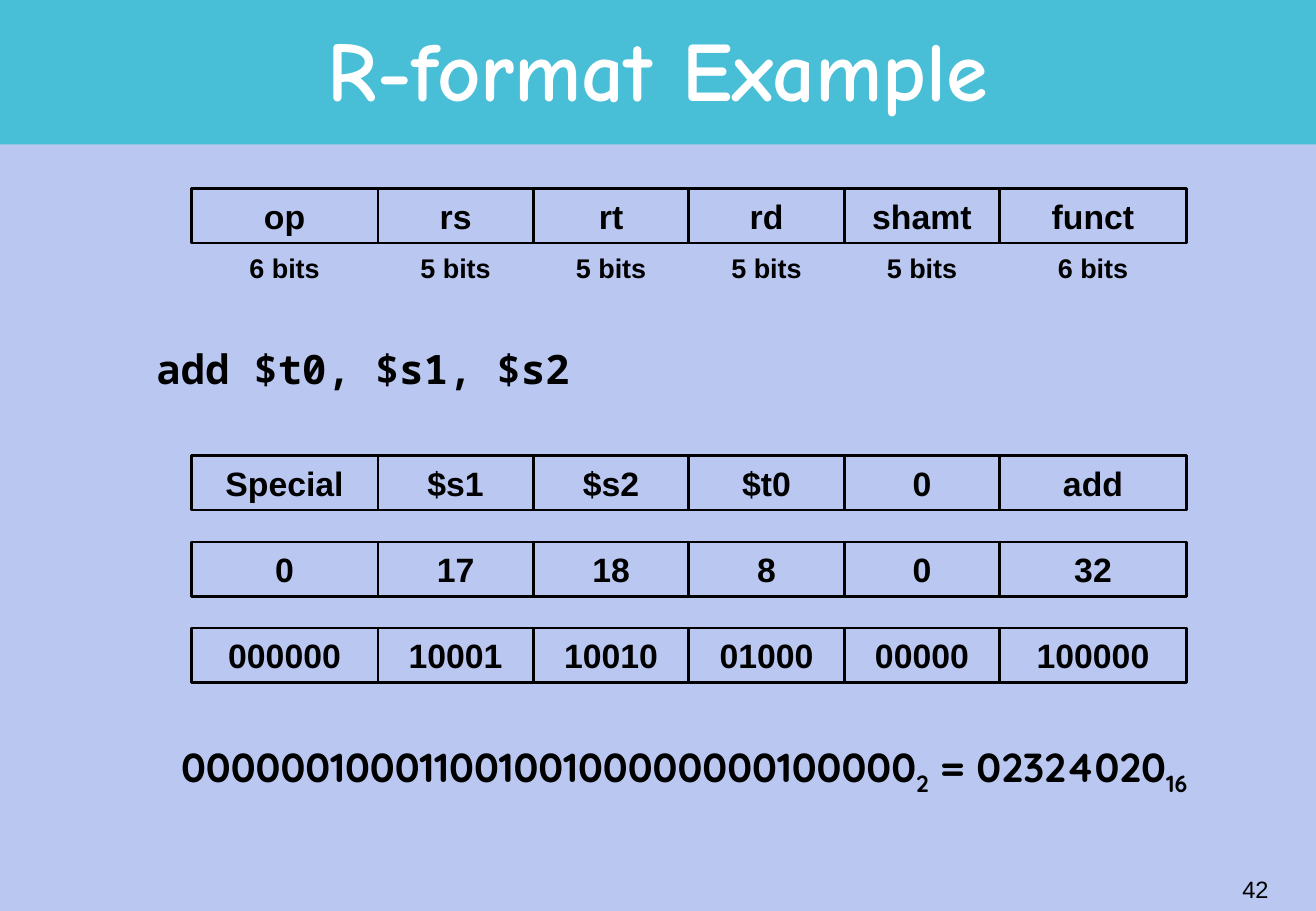
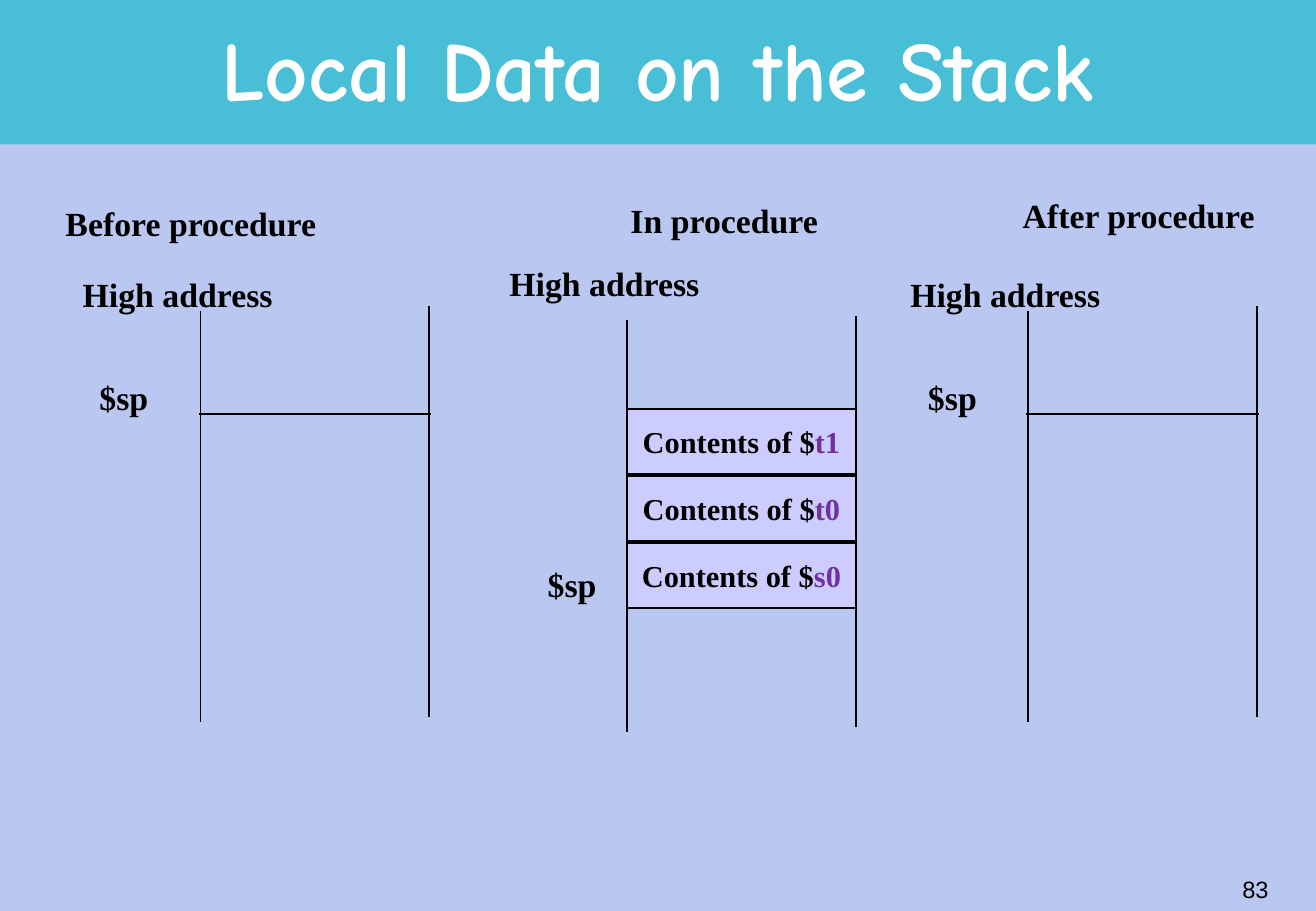
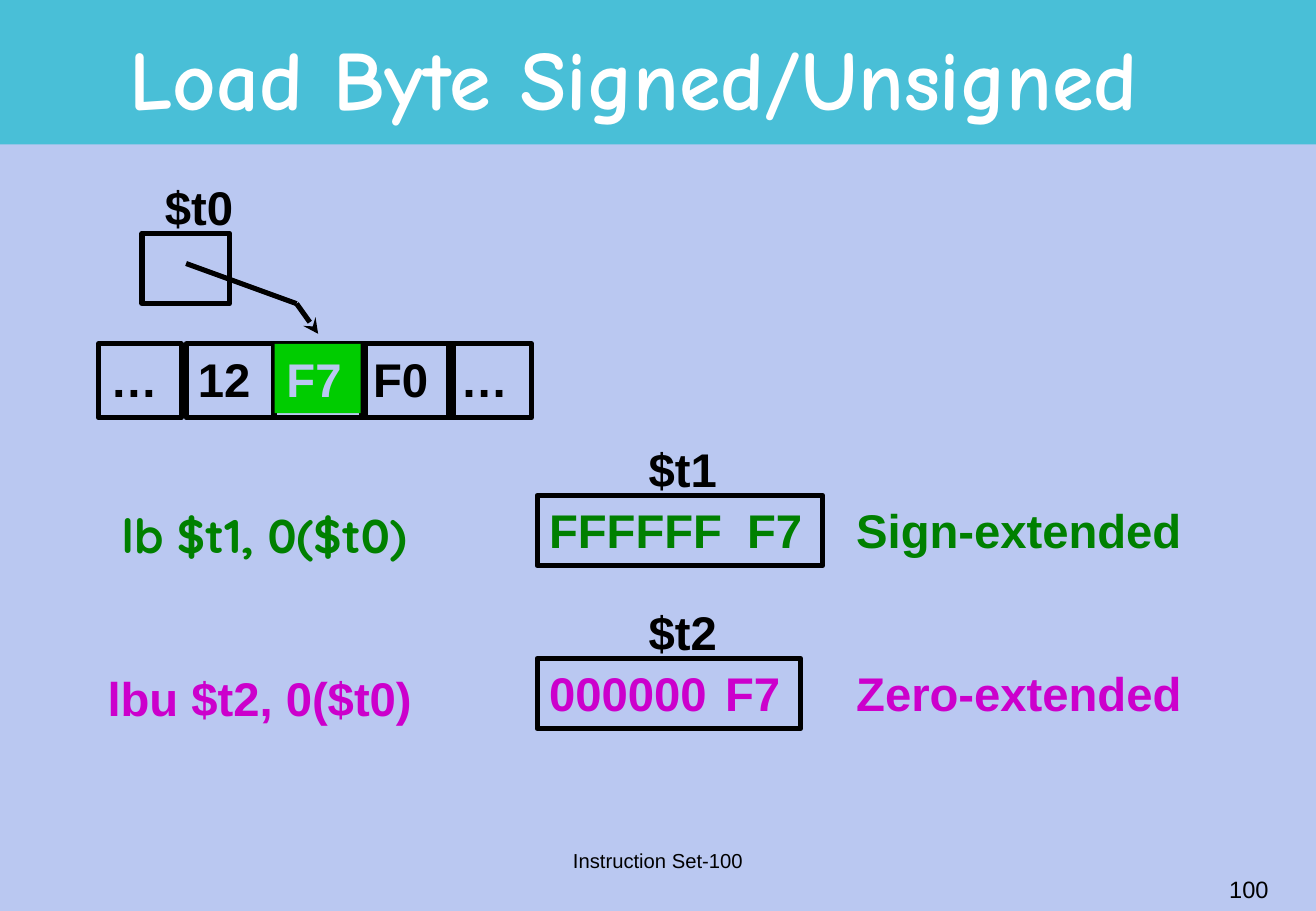
"""Build three slides on MIPS instruction formats, the stack and byte loads."""
import itertools

import pptx
import pptx.dml.color
import pptx.enum.shapes
import pptx.enum.text
import pptx.oxml.ns
import pptx.util
from lxml import etree

Cm = pptx.util.Cm
Pt = pptx.util.Pt
ALIGN = pptx.enum.text.PP_ALIGN
ANCHOR = pptx.enum.text.MSO_ANCHOR

SLIDE_SIZE = (27.51, 19.05)
BAND_HEIGHT = 3.02
TITLE_BOX = (2.06, 0.33, 23.39, 2.51)
SHIFTED_TITLE_BOX = (1.14, 0.51, 24.23, 2.51)
PAGE_NUMBER_BOX = (21.03, 17.96, 5.74, 1.27)
FOOTER_BOX = (9.4, 17.35, 8.71, 1.27)

COLORS = {
    "background": "BAC8F1",
    "band": "49BFD7",
    "white": "FFFFFF",
    "black": "000000",
    "stack": "CCCCFF",
    "register": "7030A0",
    "signed": "008000",
    "unsigned": "CC00CC",
    "byte": "00CC00",
}

FONTS = {
    "title": {"name": "Comic Neue", "size": Pt(50), "bold": True},
    "page": {"name": "Arial", "size": Pt(14), "bold": False},
    "footer": {"name": "Arial", "size": Pt(12), "bold": False},
    "field": {"name": "Arial", "size": Pt(20), "bold": True},
    "bits": {"name": "Arial", "size": Pt(16), "bold": True},
    "code": {"name": "Noto Sans Mono", "size": Pt(24), "bold": True},
    "sum": {"name": "Quicksand", "size": Pt(24), "bold": True},
    "stack": {"name": "Times New Roman", "size": Pt(20), "bold": True},
    "saved": {"name": "Times New Roman", "size": Pt(18), "bold": True},
    "byte": {"name": "Arial", "size": Pt(28), "bold": True},
    "load": {"name": "Quicksand", "size": Pt(28), "bold": True},
}

CENTERED = {"alignment": ALIGN.CENTER}
TITLE_PARAGRAPH = {"alignment": ALIGN.CENTER, "line_spacing": 0.85}

FIELD_LEFT, FIELD_HEIGHT = 4.0, 1.14
FIELD_WIDTHS = (3.9, 3.25, 3.25, 3.25, 3.25, 3.9)
FIELD_ROWS = [
    (3.94, ("op", "rs", "rt", "rd", "shamt", "funct")),
    (9.53, ("Special", "$s1", "$s2", "$t0", "0", "add")),
    (11.33, ("0", "17", "18", "8", "0", "32")),
    (13.13, ("000000", "10001", "10010", "01000", "00000", "100000")),
]
BITS_TOP, BITS_HEIGHT = 5.13, 0.94
BITS = ("6 bits", "5 bits", "5 bits", "5 bits", "5 bits", "6 bits")
INSTRUCTION = "add $t0, $s1, $s2"
MACHINE_WORD = [
    ("00000010001100100100000000100000", "black", 0),
    ("2", "black", -25000),
    (" = 02324020", "black", 0),
    ("16", "black", -25000),
]

STACK_WIDTH, STACK_TOP, STACK_DEPTH = 4.78, 6.4, 8.6
STACK_SKEW = 0.1
POINTER_LINE_TOP = 8.66
SAVED_TOP, SAVED_HEIGHT, SAVED_PITCH = 8.56, 1.35, 1.4
STACKS = [
    {"left": 4.19, "drop": 0, "caption": ("Before procedure", 1.12, 4.11),
     "address_top": 5.59, "pointer": (1.83, 7.75), "saved": ()},
    {"left": 13.11, "drop": 0.2, "caption": ("In procedure", 12.93, 4.06),
     "address_top": 5.38, "pointer": (11.2, 11.66), "saved": ("t1", "t0", "s0")},
    {"left": 21.49, "drop": 0, "caption": ("After procedure", 21.13, 3.94),
     "address_top": 5.59, "pointer": (19.15, 7.75), "saved": ()},
]

REGISTER_HEIGHT, LABEL_RISE = 1.47, 1.27
REGISTERS = [
    ("$t0", 2.97, 4.88, 1.83, 3.2),
    ("$t1", 11.23, 10.36, 5.97, 13.31),
    ("$t2", 11.23, 13.77, 5.51, 13.31),
]
MEMORY_LEFT, MEMORY_TOP, MEMORY_PITCH, MEMORY_HEIGHT = 2.06, 7.19, 1.83, 1.55
MEMORY = [("…", 1.73), ("12", 1.85), ("", 1.93), ("F0", 1.93), ("…", 1.73)]
LOADED_BYTE = ("F7", (5.74, 7.19, 1.8, 1.45))
POINTER_START, POINTER_BEND, POINTER_TIP = (3.89, 5.51), (6.2, 6.35), (6.65, 6.98)
LOADS = [
    ("signed", 10.36, "FFFFFF", 15.37, "Sign-extended"),
    ("unsigned", 13.77, "000000", 14.91, "Zero-extended"),
]
LOAD_CODES = [
    ("lb $t1, 0($t0)", (2.29, 10.69, 9.9, 1.2), "load", "signed", {"line_spacing": 0.8}),
    ("lbu $t2, 0($t0)", (2.0, 13.87, 9.9, 1.45), "byte", "unsigned", {}),
]


def rgb(color):
    return pptx.dml.color.RGBColor.from_string(COLORS[color])


def set_values(target, values):
    for name, value in values.items():
        setattr(target, name, value)


def write(shape, content, font, color="black", paragraph_format=None, anchor=ANCHOR.TOP):
    runs = [(content, color, 0)] if isinstance(content, str) else content
    set_values(shape.text_frame, {"word_wrap": True, "vertical_anchor": anchor})
    paragraph = shape.text_frame.paragraphs[0]
    set_values(paragraph, {"alignment": ALIGN.LEFT, **(paragraph_format or {})})
    for text, run_color, baseline in runs:
        run = paragraph.add_run()
        run.text = text
        set_values(run.font, FONTS[font])
        run.font.color.rgb = rgb(run_color)
        if baseline:
            run._r.get_or_add_rPr().set("baseline", str(baseline))


def add_text(slide, box, content, font, **options):
    write(slide.shapes.add_textbox(*map(Cm, box)), content, font, **options)


def add_box(slide, box, fill=None, line_width=None):
    kind = pptx.enum.shapes.MSO_SHAPE.RECTANGLE
    shape = slide.shapes.add_shape(kind, *map(Cm, box))
    shape.shadow.inherit = False
    if fill:
        shape.fill.solid()
        shape.fill.fore_color.rgb = rgb(fill)
    else:
        shape.fill.background()
    if line_width:
        shape.line.color.rgb = rgb("black")
        shape.line.width = Pt(line_width)
    else:
        shape.line.fill.background()
    return shape


def add_line(slide, start, end, width, arrow=False):
    kind = pptx.enum.shapes.MSO_CONNECTOR.STRAIGHT
    connector = slide.shapes.add_connector(kind, *map(Cm, start + end))
    connector.line.color.rgb = rgb("black")
    connector.line.width = Pt(width)
    if arrow:
        outline = connector.line._get_or_add_ln()
        etree.SubElement(outline, pptx.oxml.ns.qn("a:tailEnd"), type="stealth")
    etree.SubElement(connector._element.spPr, pptx.oxml.ns.qn("a:effectLst"))


def add_slide(presentation, title, number, title_box=TITLE_BOX):
    slide = presentation.slides.add_slide(presentation.slide_layouts[6])
    add_box(slide, (0, 0, SLIDE_SIZE[0], BAND_HEIGHT), "band")
    add_text(slide, title_box, title, "title", color="white",
             paragraph_format=TITLE_PARAGRAPH, anchor=ANCHOR.MIDDLE)
    add_text(slide, PAGE_NUMBER_BOX, number, "page",
             paragraph_format={"alignment": ALIGN.RIGHT}, anchor=ANCHOR.MIDDLE)
    return slide


def build_format_slide(presentation):
    slide = add_slide(presentation, "R-format Example", "42")
    lefts = list(itertools.accumulate(FIELD_WIDTHS[:-1], initial=FIELD_LEFT))
    for top, fields in FIELD_ROWS:
        for left, width, field in zip(lefts, FIELD_WIDTHS, fields):
            shape = add_box(slide, (left, top, width, FIELD_HEIGHT), line_width=1.5)
            write(shape, field, "field", paragraph_format=CENTERED, anchor=ANCHOR.MIDDLE)
    for left, width, bits in zip(lefts, FIELD_WIDTHS, BITS):
        add_text(slide, (left, BITS_TOP, width, BITS_HEIGHT), bits, "bits",
                 paragraph_format=CENTERED)
    add_text(slide, (3.02, 7.19, 22.4, 1.78), INSTRUCTION, "code",
             paragraph_format={"line_spacing": 0.9})
    add_text(slide, (2.06, 15.4, 24.49, 1.4), MACHINE_WORD, "sum",
             paragraph_format={**CENTERED, "line_spacing": 0.9})


def build_stack_slide(presentation):
    slide = add_slide(presentation, "Local Data on the Stack", "83")
    for stack in STACKS:
        left, right = stack["left"], stack["left"] + STACK_WIDTH
        top = STACK_TOP + stack["drop"]
        for x, y in ((left, top + STACK_SKEW), (right, top)):
            add_line(slide, (x, y), (x, y + STACK_DEPTH), 1)
        if not stack["saved"]:
            add_line(slide, (left - 0.04, POINTER_LINE_TOP),
                     (right + 0.04, POINTER_LINE_TOP), 1)
        for index, register in enumerate(stack["saved"]):
            saved_top = SAVED_TOP + index * SAVED_PITCH
            shape = add_box(slide, (left, saved_top, STACK_WIDTH, SAVED_HEIGHT), "stack", 1)
            set_values(shape.text_frame, {"margin_left": 0, "margin_right": 0})
            write(shape, [("Contents of $", "black", 0), (register, "register", 0)],
                  "saved", paragraph_format=CENTERED, anchor=ANCHOR.MIDDLE)
        caption, caption_left, caption_top = stack["caption"]
        labels = [
            (caption, caption_left, caption_top, 6),
            ("High address", left - 2.71, stack["address_top"], 5),
            ("$sp", *stack["pointer"], 2),
        ]
        for text, label_left, label_top, width in labels:
            add_text(slide, (label_left, label_top, width, 1.1), text, "stack")


def build_load_slide(presentation):
    slide = add_slide(presentation, "Load Byte Signed/Unsigned", "100", SHIFTED_TITLE_BOX)
    add_text(slide, FOOTER_BOX, "Instruction Set-100", "footer",
             paragraph_format=CENTERED, anchor=ANCHOR.MIDDLE)
    for name, left, top, width, label_left in REGISTERS:
        add_box(slide, (left, top, width, REGISTER_HEIGHT), line_width=3)
        add_text(slide, (label_left, top - LABEL_RISE, 2.2, 1.45), name, "byte")
    add_line(slide, POINTER_BEND, POINTER_START, 3)
    add_line(slide, POINTER_BEND, POINTER_TIP, 3, arrow=True)
    for index, (value, width) in enumerate(MEMORY):
        left = MEMORY_LEFT + index * MEMORY_PITCH
        shape = add_box(slide, (left, MEMORY_TOP, width, MEMORY_HEIGHT), line_width=3)
        if value:
            write(shape, value, "byte")
    value, box = LOADED_BYTE
    write(add_box(slide, box, "byte"), value, "byte", color="background")
    for color, top, extension, byte_left, meaning in LOADS:
        for text, left, width in ((extension, 11.23, 4.5), (value, byte_left, 2),
                                  (meaning, 17.65, 8.2)):
            add_text(slide, (left, top, width, 1.45), text, "byte", color=color)
    for text, box, font, color, paragraph_format in LOAD_CODES:
        add_text(slide, box, text, font, color=color, paragraph_format=paragraph_format)


def main():
    presentation = pptx.Presentation()
    presentation.slide_width, presentation.slide_height = map(Cm, SLIDE_SIZE)
    background = presentation.slide_master.background.fill
    background.solid()
    background.fore_color.rgb = rgb("background")
    build_format_slide(presentation)
    build_stack_slide(presentation)
    build_load_slide(presentation)
    presentation.save("out.pptx")


if __name__ == "__main__":
    main()
